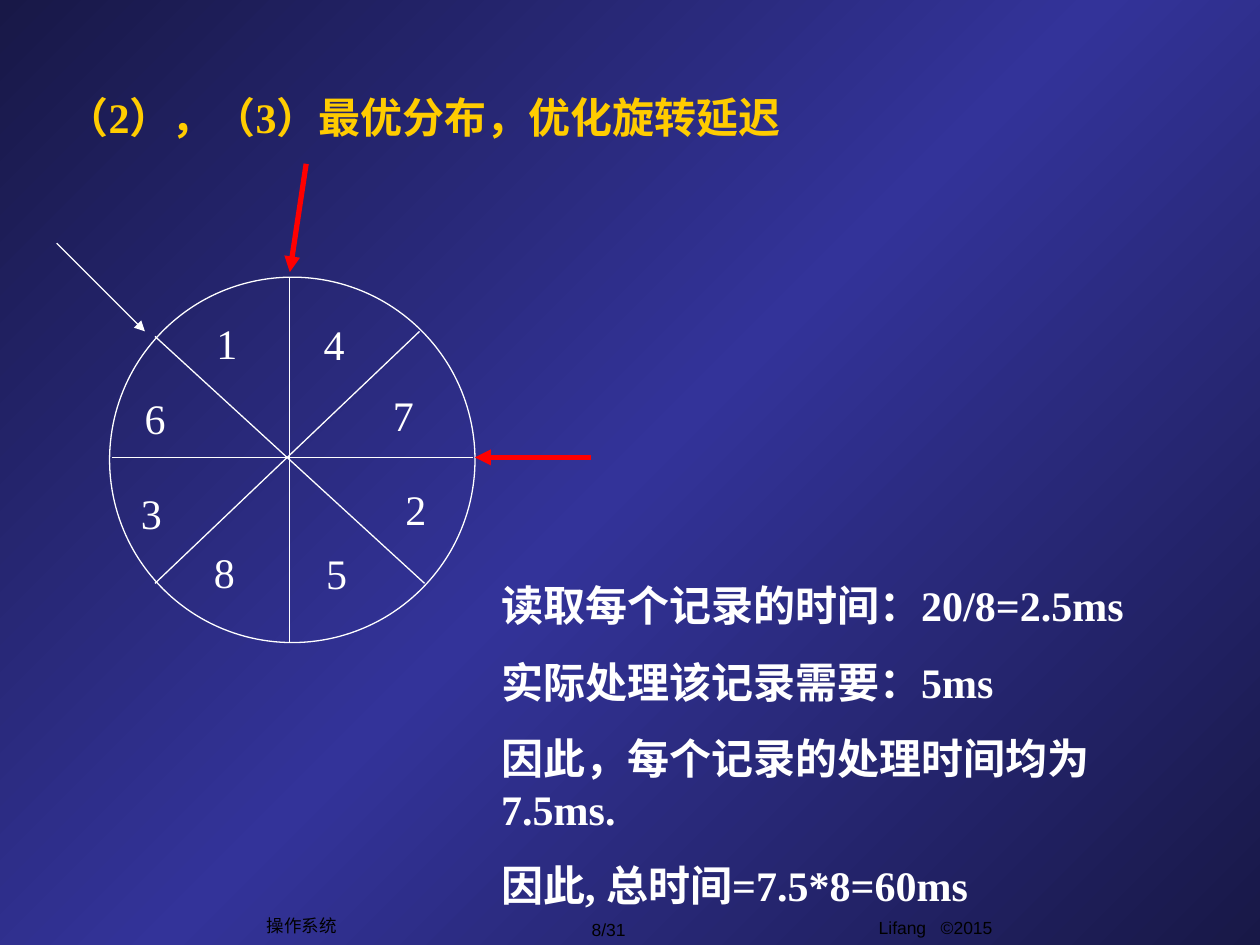
from lxml import etree
from pptx import Presentation
from pptx import util as u
from pptx.dml.color import RGBColor
from pptx.enum import shapes, text
from pptx.oxml import parse_xml
from pptx.oxml.ns import nsdecls, qn

COLS, ROWS = 100, 75
CELL = u.Inches(0.1)
WHITE, RED, GOLD, BLACK = "FFFFFF", "FF0000", "FFCC00", "000000"
SERIF, SANS = "Times New Roman", "Arial"

SPOKES = [
    (23, 22, 23, 51),
    (8.9, 36.3, 37.5, 36.3),
    (12.3, 46.3, 33.3, 26.3),
    (12.3, 26.7, 33.7, 46.3),
]
SECTORS = [
    ("1", 16.2, 24.7), ("6", 10.5, 30.7), ("3", 10.2, 38.2), ("8", 16, 42.9),
    ("5", 24.9, 43), ("2", 31.2, 37.9), ("7", 30.2, 30.4), ("4", 24.7, 24.8),
]
ARROWS = [
    (4.5, 19.3, 11.5, 26.3, WHITE, 0.75),
    (24.3, 13, 23, 21.6, RED, 3),
    (46.9, 36.3, 37.7, 36.3, RED, 3),
]
FOOTERS = [
    ("Lifang   ©2015", (58.4, 72.3, 31.7, 3.5), True, text.MSO_ANCHOR.TOP),
    ("8/31", (43.2, 72.4, 10.2, 2.7), False, text.MSO_ANCHOR.MIDDLE),
    ("操作系统", (20.2, 72.1, 7.5, 2.7), False, text.MSO_ANCHOR.MIDDLE),
]
NOTES = [
    "读取每个记录的时间：20/8=2.5ms",
    "实际处理该记录需要：5ms",
    "因此，每个记录的处理时间均为7.5ms.",
    "因此, 总时间=7.5*8=60ms",
]


def grid(*cells):
    return [round(c * CELL) for c in cells]


def rgb(code):
    return RGBColor.from_string(code)


def set_background(s, edge, middle):
    stops = "".join(
        f'<a:gs pos="{pos}"><a:srgbClr val="{code}"/></a:gs>'
        for pos, code in ((0, edge), (50000, middle), (100000, edge))
    )
    bg = parse_xml(
        f'<p:bg {nsdecls("p", "a")}><p:bgPr><a:gradFill rotWithShape="0">'
        f'<a:gsLst>{stops}</a:gsLst><a:lin ang="2700000" scaled="0"/>'
        "</a:gradFill><a:effectLst/></p:bgPr></p:bg>"
    )
    s.element.cSld.insert(0, bg)


def add_text(s, box, lines, size, color, font=SERIF, bold=False, wrap=True,
             align=text.PP_ALIGN.LEFT, anchor=text.MSO_ANCHOR.TOP, gap=0):
    tf = s.shapes.add_textbox(*grid(*box)).text_frame
    tf.word_wrap = wrap
    tf.vertical_anchor = anchor
    for i, line in enumerate(lines):
        p = tf.add_paragraph() if i else tf.paragraphs[0]
        p.alignment = align
        if i:
            p.space_before = u.Pt(gap)
        r = p.add_run()
        r.text = line
        r.font.size = u.Pt(size)
        r.font.name = font
        r.font.bold = bold
        r.font.color.rgb = rgb(color)


def add_line(s, ends, color=WHITE, width=0.75, arrow=False):
    line = s.shapes.add_connector(shapes.MSO_CONNECTOR.STRAIGHT, *grid(*ends))
    line.line.color.rgb = rgb(color)
    line.line.width = u.Pt(width)
    if arrow:
        ln = line.line._get_or_add_ln()
        etree.SubElement(ln, qn("a:tailEnd"), type="triangle")
    etree.SubElement(line._element.spPr, qn("a:effectLst"))


def add_disk(s):
    sp = s.shapes.add_shape(shapes.MSO_SHAPE.OVAL, *grid(8.7, 22, 29, 29))
    sp.shadow.inherit = False
    sp.fill.background()
    sp.line.color.rgb = rgb(WHITE)
    sp.line.width = u.Pt(0.75)
    for ends in SPOKES:
        add_line(s, ends)
    for label, left, top in SECTORS:
        add_text(s, (left, top, 6.7, 5), [label], 24, WHITE)


def main():
    prs = Presentation()
    prs.slide_width, prs.slide_height = grid(COLS, ROWS)
    s = prs.slides.add_slide(prs.slide_layouts[6])
    set_background(s, "181847", "333399")
    for label, box, wrap, anchor in FOOTERS:
        add_text(s, box, [label], 10, BLACK, SANS, wrap=wrap,
                 align=text.PP_ALIGN.CENTER, anchor=anchor)
    add_text(s, (4.3, 6.8, 85.4, 5), ["（2），（3）最优分布，优化旋转延迟"],
             24, GOLD, bold=True, anchor=text.MSO_ANCHOR.MIDDLE)
    add_disk(s)
    add_text(s, (38.8, 45.5, 57.3, 27.3), NOTES, 24, WHITE, bold=True, gap=15)
    for *ends, color, width in ARROWS:
        add_line(s, ends, color, width, arrow=True)
    prs.save("out.pptx")


if __name__ == "__main__":
    main()
